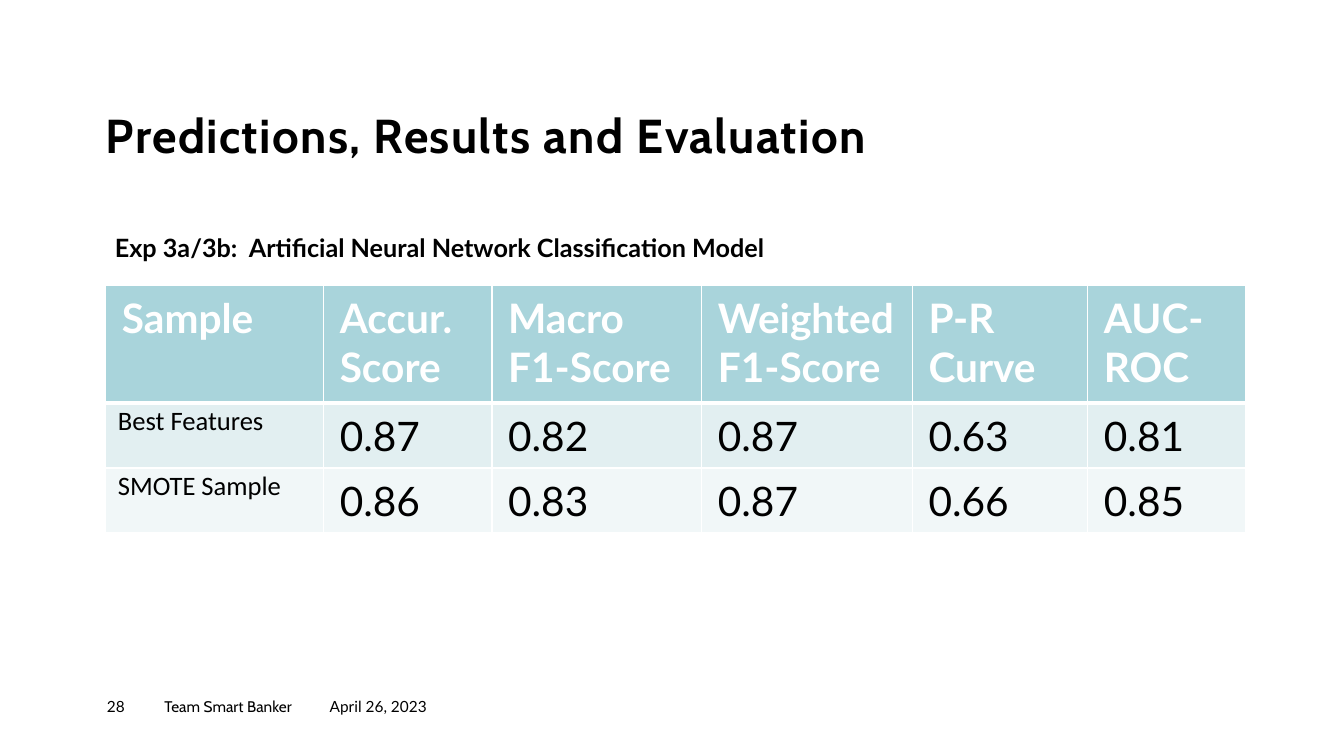
import dataclasses

import pptx
import pptx.dml.color
import pptx.enum.text
import pptx.oxml
import pptx.oxml.ns
import pptx.util

IN = pptx.util.Inches
PT = pptx.util.Pt
ALIGN = pptx.enum.text.PP_ALIGN
ANCHOR = pptx.enum.text.MSO_ANCHOR


@dataclasses.dataclass(frozen=True)
class Theme:
    """Colours, fonts and type sizes of the slide."""
    ink: str = "000000"
    paper: str = "FFFFFF"
    head: str = "A9D4DB"
    bands: tuple = ("E2EFF1", "F1F7F8")
    brand: str = "Cabin"
    text: str = "Lato"
    label: str = "Calibri"
    title: int = 34
    score: int = 29
    name: int = 19
    sub: int = 18
    foot: int = 11


THEME = Theme()
WIDE, HIGH = 13.33, 7.5
LEFT = 1.05
HEADS = ["Sample", "Accur.\nScore", "Macro F1-Score",
         "Weighted F1-Score", "P-R Curve", "AUC-ROC"]
ROWS = [["Best Features", "0.87", "0.82", "0.87", "0.63", "0.81"],
        ["SMOTE Sample", "0.86", "0.83", "0.87", "0.66", "0.85"]]
COLS = [2.16, 1.67, 2.08, 2.09, 1.74, 1.57]
TALL = [1.17, 0.64, 0.64]
FOOT = [("28", 0.57, THEME.text), ("Team Smart Banker", 1.64, THEME.brand),
        ("April 26, 2023", 1.44, THEME.text)]


def color(code):
    """Return an RGB colour from its hex code."""
    return pptx.dml.color.RGBColor.from_string(code)


def write(frame, text, size, font, ink=THEME.ink, bold=False):
    """Fill a text frame and format every run."""
    frame.text = text
    frame.word_wrap = True
    for para in frame.paragraphs:
        for run in para.runs:
            run.font.size = PT(size)
            run.font.name = font
            run.font.bold = bold
            run.font.color.rgb = color(ink)


def inset(item, side, edge):
    """Set the side and edge margins of a frame or cell."""
    item.margin_left = item.margin_right = IN(side)
    item.margin_top = item.margin_bottom = IN(edge)


def heading(slide, left, top, width, height):
    """Place the slide title in the given box."""
    title = slide.shapes.title
    title.left, title.top = IN(left), IN(top)
    title.width, title.height = IN(width), IN(height)
    frame = title.text_frame
    write(frame, "Predictions, Results and Evaluation",
          THEME.title, THEME.brand, bold=True)
    inset(frame, 0, 0)
    frame.auto_size = pptx.enum.text.MSO_AUTO_SIZE.NONE
    frame.vertical_anchor = ANCHOR.BOTTOM
    para = frame.paragraphs[0]
    para.alignment = ALIGN.LEFT
    para.line_spacing = 0.9
    para.runs[0].font._element.set("spc", "100")


def caption(slide, left, top, width, height):
    """Place the experiment name above the table."""
    box = slide.shapes.add_textbox(IN(left), IN(top), IN(width), IN(height))
    write(box.text_frame,
          "Exp 3a/3b:  Artificial Neural Network Classification Model",
          THEME.sub, THEME.text, bold=True)


def border(cell, base):
    """Draw white lines round a cell, with its own weight at the base."""
    props = cell._tc.get_or_add_tcPr()
    space = pptx.oxml.ns.nsdecls("a")
    for spot, side in enumerate("LRTB"):
        width = PT(base if side == "B" else 1)
        line = pptx.oxml.parse_xml(
            f'<a:ln{side} {space} w="{width}"><a:solidFill>'
            f'<a:srgbClr val="{THEME.paper}"/></a:solidFill></a:ln{side}>')
        props.insert(spot, line)


def fill(cell, text, row, col):
    """Write and style one cell by its place in the table."""
    top = row == 0
    name = col == 0 and not top
    cell.fill.solid()
    cell.fill.fore_color.rgb = color(THEME.head if top else THEME.bands[row - 1])
    write(cell.text_frame, text, THEME.name if name else THEME.score,
          THEME.label if name else THEME.text,
          THEME.paper if top else THEME.ink, top)
    inset(cell, 0.12 if name else 0.16, 0 if name else 0.08)
    if name:
        para = cell.text_frame.paragraphs[0]
        para.alignment = ALIGN.JUSTIFY
        para.line_spacing = 1.07
        para.space_after = PT(8)
    border(cell, 3 if row <= 0 else 1)


def scores(slide, left, top):
    """Build the score table from its top left corner."""
    frame = slide.shapes.add_table(len(TALL), len(COLS), IN(left), IN(top),
                                   IN(sum(COLS)), IN(sum(TALL)))
    table = frame.table
    for col, width in zip(table.columns, COLS):
        col.width = IN(width)
    for row, height in zip(table.rows, TALL):
        row.height = IN(height)
    for row, line in enumerate([HEADS] + ROWS):
        for col, text in enumerate(line):
            fill(table.cell(row, col), text, row, col)


def footer(slide, left, top, height):
    """Set page number, team and date side by side."""
    for text, width, font in FOOT:
        box = slide.shapes.add_textbox(IN(left), IN(top), IN(width), IN(height))
        write(box.text_frame, text, THEME.foot, font)
        inset(box.text_frame, 0, 0)
        box.text_frame.paragraphs[0].space_after = PT(6)
        left += width


def main():
    """Build the slide and save it."""
    deck = pptx.Presentation()
    deck.slide_width, deck.slide_height = IN(WIDE), IN(HIGH)
    slide = deck.slides.add_slide(deck.slide_layouts.get_by_name("Title Only"))
    heading(slide, LEFT, 0.96, 8.25, 0.67)
    footer(slide, LEFT + 0.01, 6.92, 0.27)
    scores(slide, LEFT, 2.83)
    caption(slide, LEFT - 0.01, 2.26, 10.15, 0.4)
    deck.save("out.pptx")


if __name__ == "__main__":
    main()
